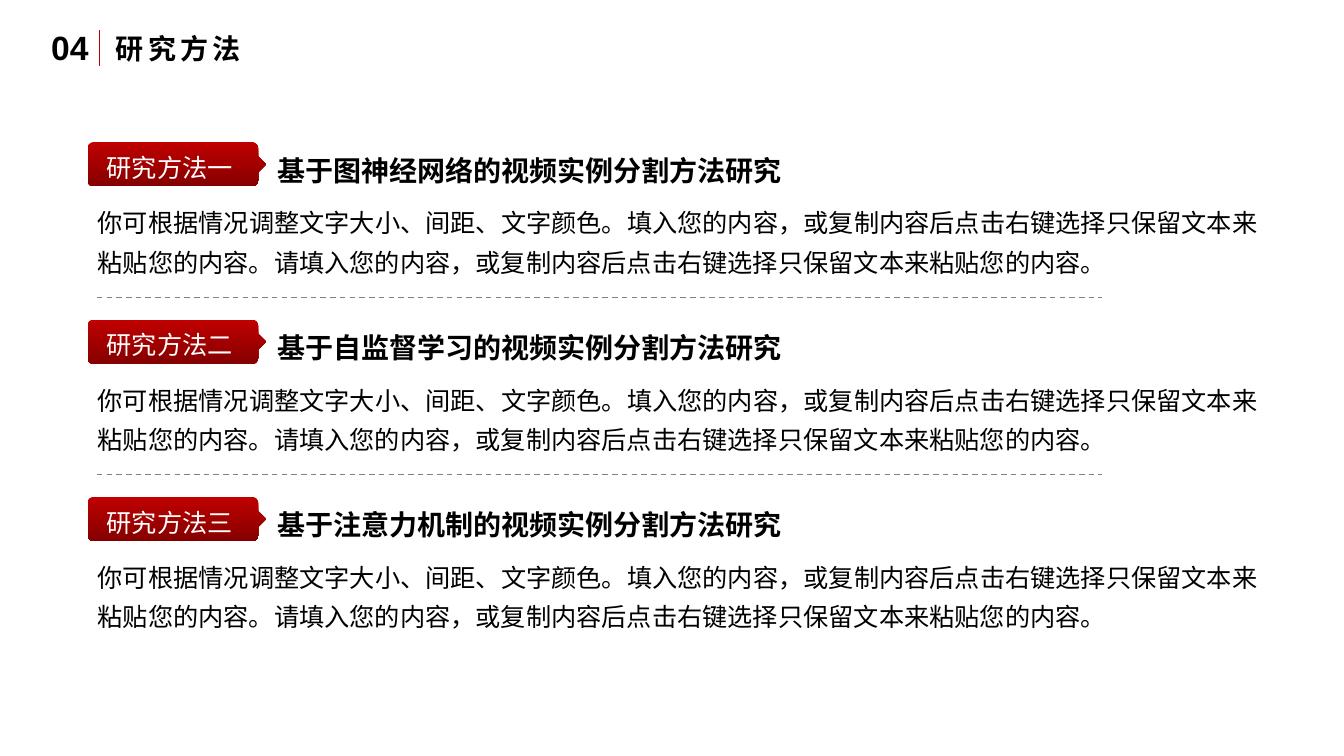
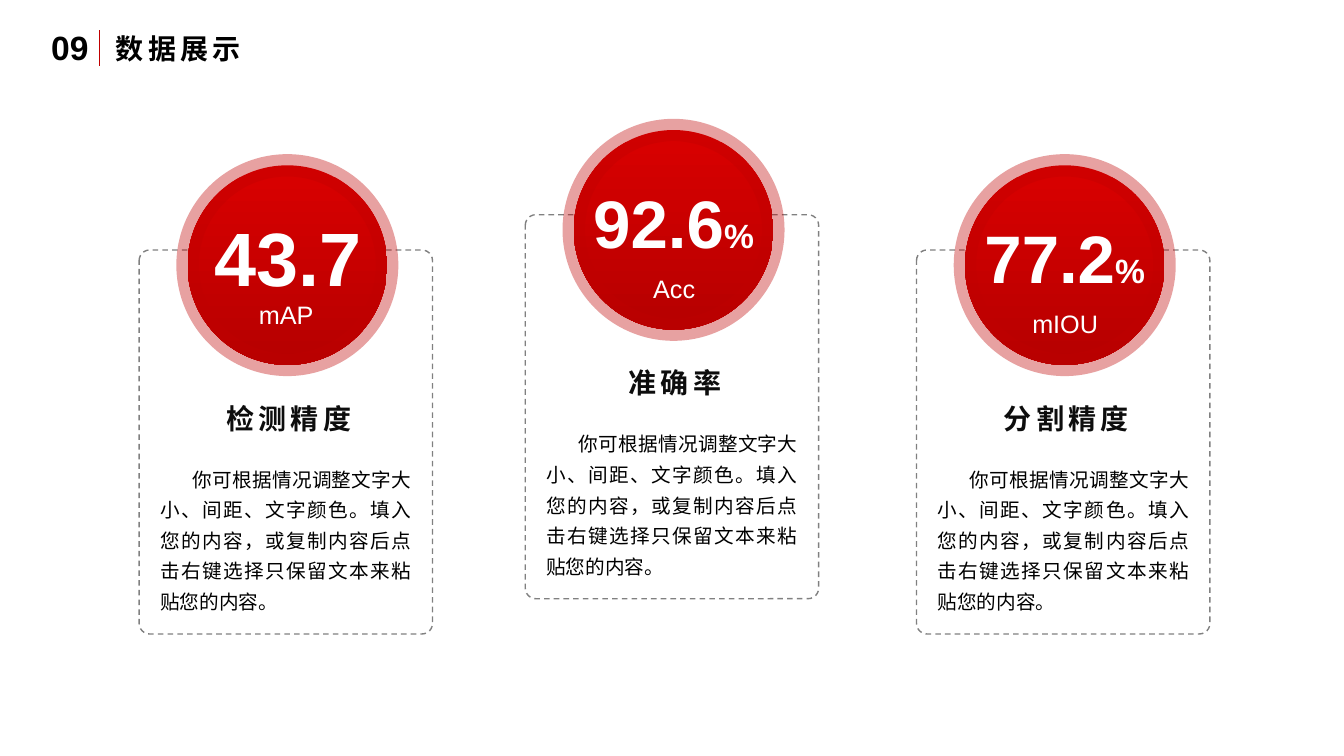
import math
from dataclasses import dataclass

from lxml import etree
from pptx import Presentation
from pptx import util as u
from pptx.dml.color import RGBColor
from pptx.enum import dml, shapes, text
from pptx.oxml import ns
from pptx.util import Inches

COLORS = {
    "black": "000000", "ink": "0D0D0D", "white": "FFFFFF", "gray": "808080",
    "red": "C00000", "dark_red": "850000",
    "disc_top": "D90000", "disc_bottom": "B60000",
}
CJK, LATIN = "Noto Sans CJK SC", "Arial"
LEFT, CENTER, JUSTIFY = (text.PP_ALIGN.LEFT, text.PP_ALIGN.CENTER,
                         text.PP_ALIGN.JUSTIFY)
CARD_TEXT = ("你可根据情况调整文字大小、间距、文字颜色。填入您的内容，"
             "或复制内容后点击右键选择只保留文本来粘贴您的内容。")
METHOD_TEXT = CARD_TEXT + "请填入您的内容，或复制内容后点击右键选择只保留文本来粘贴您的内容。"


@dataclass
class Style:
    size: float
    font: str = CJK
    color: str = "black"
    bold: bool = False
    align: int = LEFT
    line_spacing: float = 1.0
    tracking: float = 0
    indent: float = 0
    wrap: bool = True


@dataclass
class Method:
    label: str
    title: str


@dataclass
class Metric:
    left: float
    top: float
    value: str
    value_box: tuple[float, float, float]  # drop from card top, width, height
    value_size: float
    unit: str
    label: str
    label_box: tuple[float, float]  # drop from card top, width
    heading: str


NUMBER = Style(24, LATIN, bold=True, wrap=False)
TITLE = Style(20, bold=True, tracking=3, wrap=False)
BADGE = Style(18, color="white", line_spacing=1.3)
METHOD_TITLE = Style(20, bold=True, line_spacing=1.3)
METHOD_BODY = Style(18, align=JUSTIFY, line_spacing=1.3)
CARD_HEADING = Style(20, LATIN, "ink", bold=True, align=CENTER, tracking=3)
CARD_BODY = Style(14, align=JUSTIFY, line_spacing=1.3, indent=0.32)
METRIC_LABEL = Style(18, LATIN, "white", wrap=False)

METHODS = [
    Method("研究方法一", "基于图神经网络的视频实例分割方法研究"),
    Method("研究方法二", "基于自监督学习的视频实例分割方法研究"),
    Method("研究方法三", "基于注意力机制的视频实例分割方法研究"),
]
METRICS = [
    Metric(1.38, 2.48, "43.7", (-0.44, 1.67, 1.01), 54, "", "mAP", (0.44, 0.78), "检测精度"),
    Metric(5.21, 2.13, "92.6", (-0.38, 1.81, 0.91), 48, "%", "Acc", (0.53, 0.62), "准确率"),
    Metric(9.09, 2.48, "77.2", (-0.38, 1.81, 0.91), 48, "%", "mIOU", (0.53, 0.86), "分割精度"),
]


# Shared helpers
def rgb(name: str) -> RGBColor:
    return RGBColor.from_string(COLORS[name])


def add_text(s, left: float, top: float, width: float, height: float,
             content: str, style: Style):
    """Add a one-paragraph text box and return its paragraph."""
    box = s.shapes.add_textbox(Inches(left), Inches(top), Inches(width), Inches(height))
    tf = box.text_frame
    tf.word_wrap = style.wrap
    tf.auto_size = text.MSO_AUTO_SIZE.SHAPE_TO_FIT_TEXT
    p = tf.paragraphs[0]
    p.add_run().text = content
    p.alignment = style.align
    p.line_spacing = style.line_spacing
    font = p.font
    font.name, font.size, font.bold = style.font, u.Pt(style.size), style.bold
    font.color.rgb = rgb(style.color)
    p_pr = p._p.get_or_add_pPr()
    if style.indent:
        p_pr.set("marL", "0")
        p_pr.set("indent", str(Inches(style.indent)))
    r_pr = p_pr.find(ns.qn("a:defRPr"))
    etree.SubElement(r_pr, ns.qn("a:ea")).set("typeface", CJK)
    if style.tracking:
        r_pr.set("spc", str(int(style.tracking * 100)))
    return p


def add_line(s, x1: float, y1: float, x2: float, y2: float,
             color: str, width: float, dashed: bool = False) -> None:
    line = s.shapes.add_connector(shapes.MSO_CONNECTOR.STRAIGHT, Inches(x1),
                                  Inches(y1), Inches(x2), Inches(y2))
    line.line.color.rgb = rgb(color)
    line.line.width = u.Pt(width)
    if dashed:
        line.line.dash_style = dml.MSO_LINE.DASH
    etree.SubElement(line._element.spPr, ns.qn("a:effectLst"))


def fill_down(sp, top: str, bottom: str) -> None:
    """Fill a shape with a gradient that runs from top to bottom."""
    sp.shadow.inherit = False
    sp.fill.gradient()
    sp.fill.gradient_angle = 270
    for stop, name in zip(sp.fill.gradient_stops, (top, bottom)):
        stop.color.rgb = rgb(name)


def set_alpha(fill_parent, percent: int) -> None:
    color = fill_parent.find(ns.qn("a:solidFill")).find(ns.qn("a:srgbClr"))
    etree.SubElement(color, ns.qn("a:alpha")).set("val", str(percent * 1000))


def new_slide(prs, number: str, title: str):
    s = prs.slides.add_slide(prs.slide_layouts[6])
    add_text(s, 0.41, 0.22, 0.58, 0.5, number, NUMBER)
    add_line(s, 0.99, 0.3, 0.99, 0.65, "red", 0.5)
    add_text(s, 1.05, 0.26, 1.49, 0.44, title, TITLE)
    return s


# Research methods
def add_badge(s, left: float, top: float) -> None:
    """Rounded tag with a small pointer on its right side."""
    width, height, radius, tip = 1.69, 0.44, 0.06, 0.08
    right, bottom, middle = left + width, top + height, top + height / 2

    def corner(cx: float, cy: float, start: int) -> list[tuple[float, float]]:
        angles = [math.radians(start + step) for step in range(0, 91, 15)]
        return [(cx + radius * math.cos(a), cy + radius * math.sin(a)) for a in angles]

    points = [
        *corner(left + radius, top + radius, 180),
        *corner(right - radius, top + radius, 270),
        (right, middle - tip), (right + tip, middle), (right, middle + tip),
        *corner(right - radius, bottom - radius, 0),
        *corner(left + radius, bottom - radius, 90),
    ]
    emu = [(Inches(x), Inches(y)) for x, y in points]
    builder = s.shapes.build_freeform(*emu[0])
    builder.add_line_segments(emu[1:], close=True)
    sp = builder.convert_to_shape()
    fill_down(sp, "red", "dark_red")
    sp.line.fill.background()


def add_method(s, top: float, method: Method) -> None:
    add_text(s, 0.87, top + 0.55, 11.7, 0.85, METHOD_TEXT, METHOD_BODY)
    add_badge(s, 0.87, top + 0.04)
    add_text(s, 0.96, top, 1.45, 0.46, method.label, BADGE)
    add_text(s, 2.65, top, 5.39, 0.5, method.title, METHOD_TITLE)


def build_methods(prs) -> None:
    s = new_slide(prs, "04", "研究方法")
    first, step = 1.37, 1.76
    for i, method in enumerate(METHODS):
        top = first + i * step
        add_method(s, top, method)
        if i < len(METHODS) - 1:
            add_line(s, 0.96, top + 1.58, 10.93, top + 1.58, "gray", 1, dashed=True)


# Metric cards
def add_metric(s, m: Metric) -> None:
    # Dashed frame
    frame = s.shapes.add_shape(shapes.MSO_SHAPE.ROUNDED_RECTANGLE, Inches(m.left),
                               Inches(m.top), Inches(2.91), Inches(3.81))
    frame.adjustments[0] = 0.036
    frame.shadow.inherit = False
    frame.fill.solid()
    frame.fill.fore_color.rgb = rgb("white")
    set_alpha(frame._element.spPr, 50)
    frame.line.color.rgb = rgb("gray")
    frame.line.width = u.Pt(1)
    frame.line.dash_style = dml.MSO_LINE.DASH

    # Disc with a translucent ring
    disc = s.shapes.add_shape(shapes.MSO_SHAPE.OVAL, Inches(m.left + 0.48),
                              Inches(m.top - 0.84), Inches(1.98), Inches(1.98))
    fill_down(disc, "disc_top", "disc_bottom")
    disc.line.color.rgb = rgb("red")
    disc.line.width = u.Pt(16)
    set_alpha(disc._element.spPr.find(ns.qn("a:ln")), 36)

    # Value and label
    center = m.left + 1.48
    drop, width, height = m.value_box
    value_style = Style(m.value_size, LATIN, "white", bold=True, wrap=False)
    p = add_text(s, center - width / 2, m.top + drop, width, height, m.value, value_style)
    if m.unit:
        r = p.add_run()
        r.text = m.unit
        r.font.size = u.Pt(24)
    drop, width = m.label_box
    add_text(s, center - width / 2, m.top + drop, width, 0.4, m.label, METRIC_LABEL)

    # Heading and description
    add_text(s, m.left + 0.5, m.top + 1.45, 1.97, 0.44, m.heading, CARD_HEADING)
    add_text(s, m.left + 0.11, m.top + 2.04, 2.69, 1.6, CARD_TEXT, CARD_BODY)


def build_metrics(prs) -> None:
    s = new_slide(prs, "09", "数据展示")
    for metric in METRICS:
        add_metric(s, metric)


def main() -> None:
    prs = Presentation()
    prs.slide_width, prs.slide_height = Inches(13.33), Inches(7.5)
    build_methods(prs)
    build_metrics(prs)
    prs.save("out.pptx")


if __name__ == "__main__":
    main()
